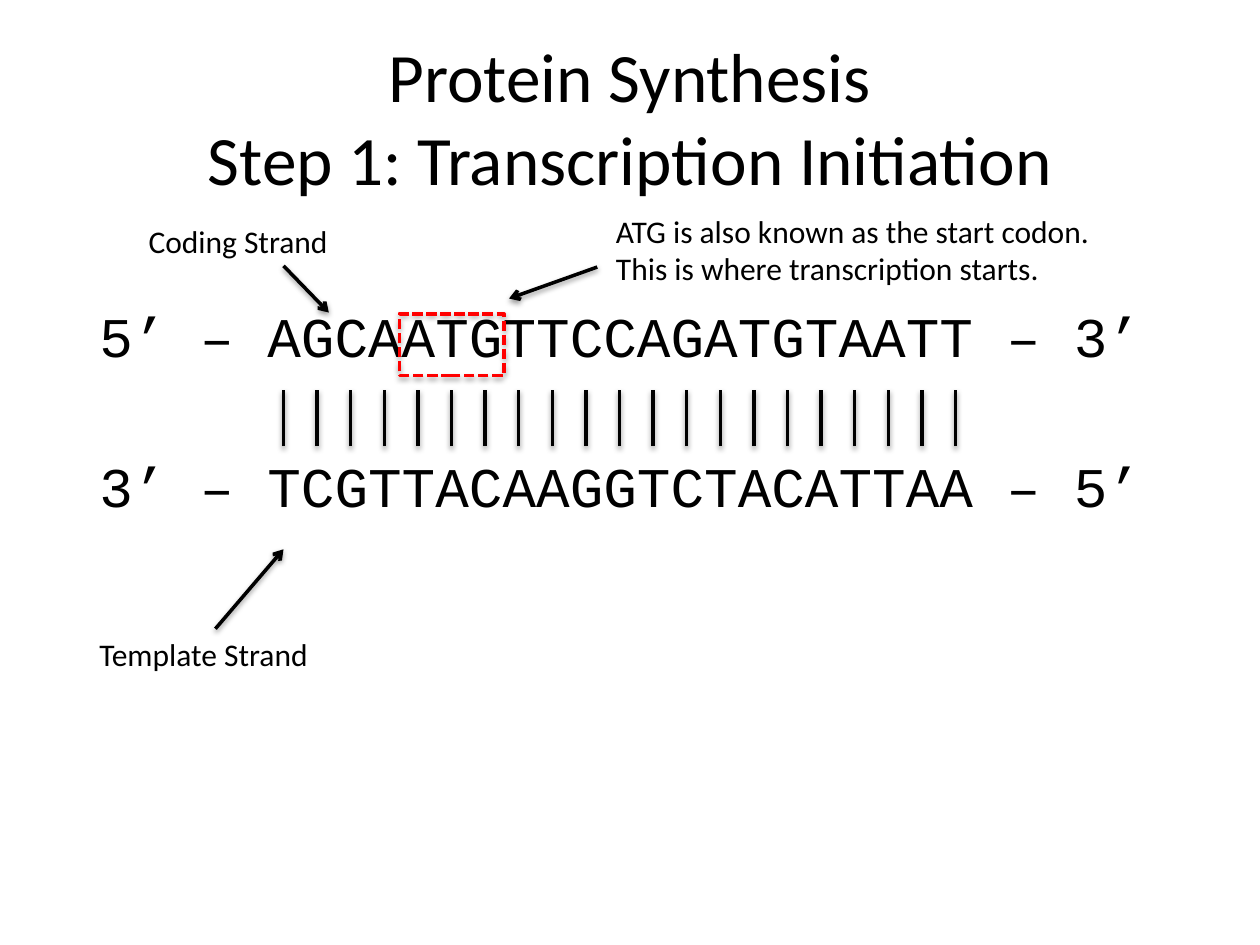
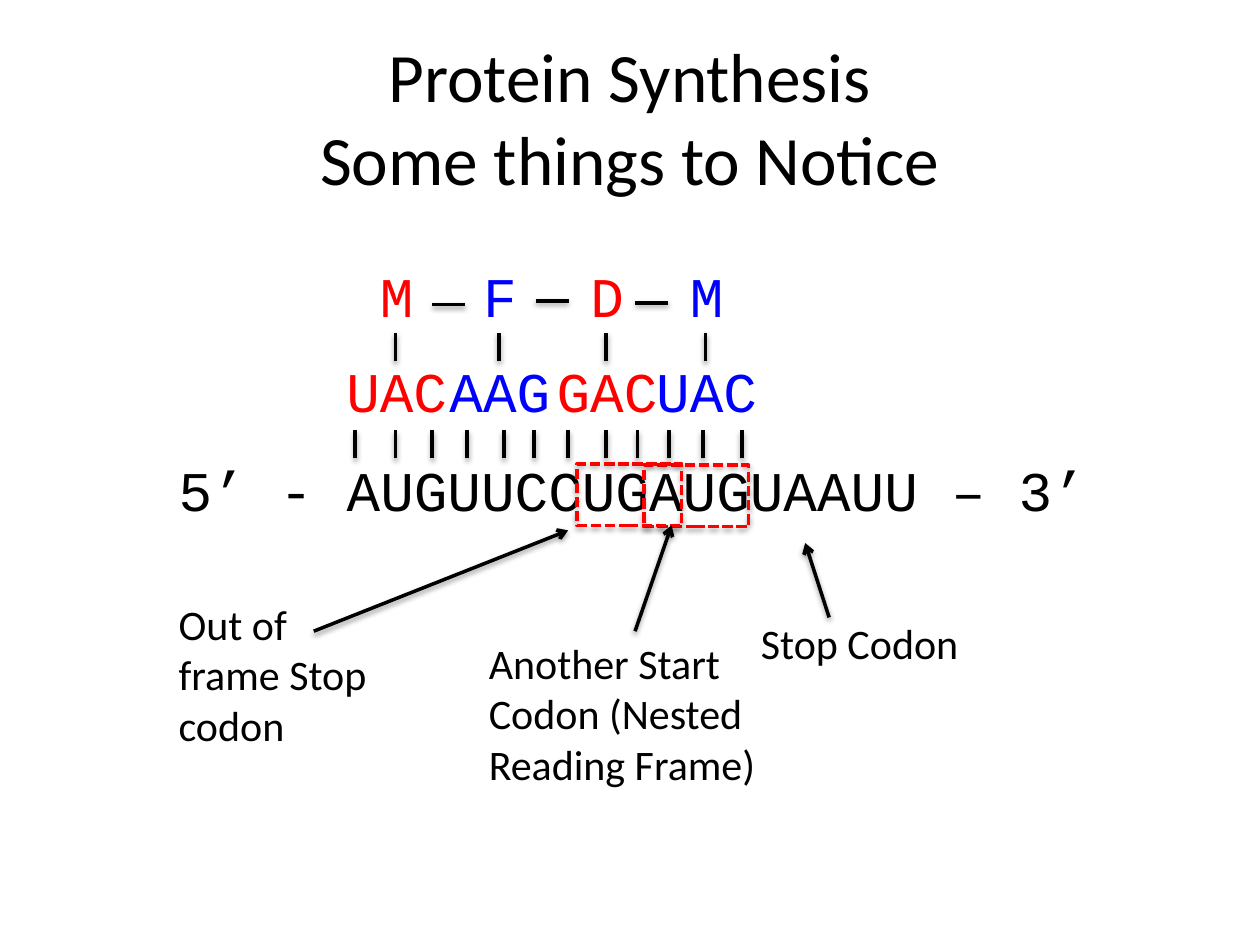
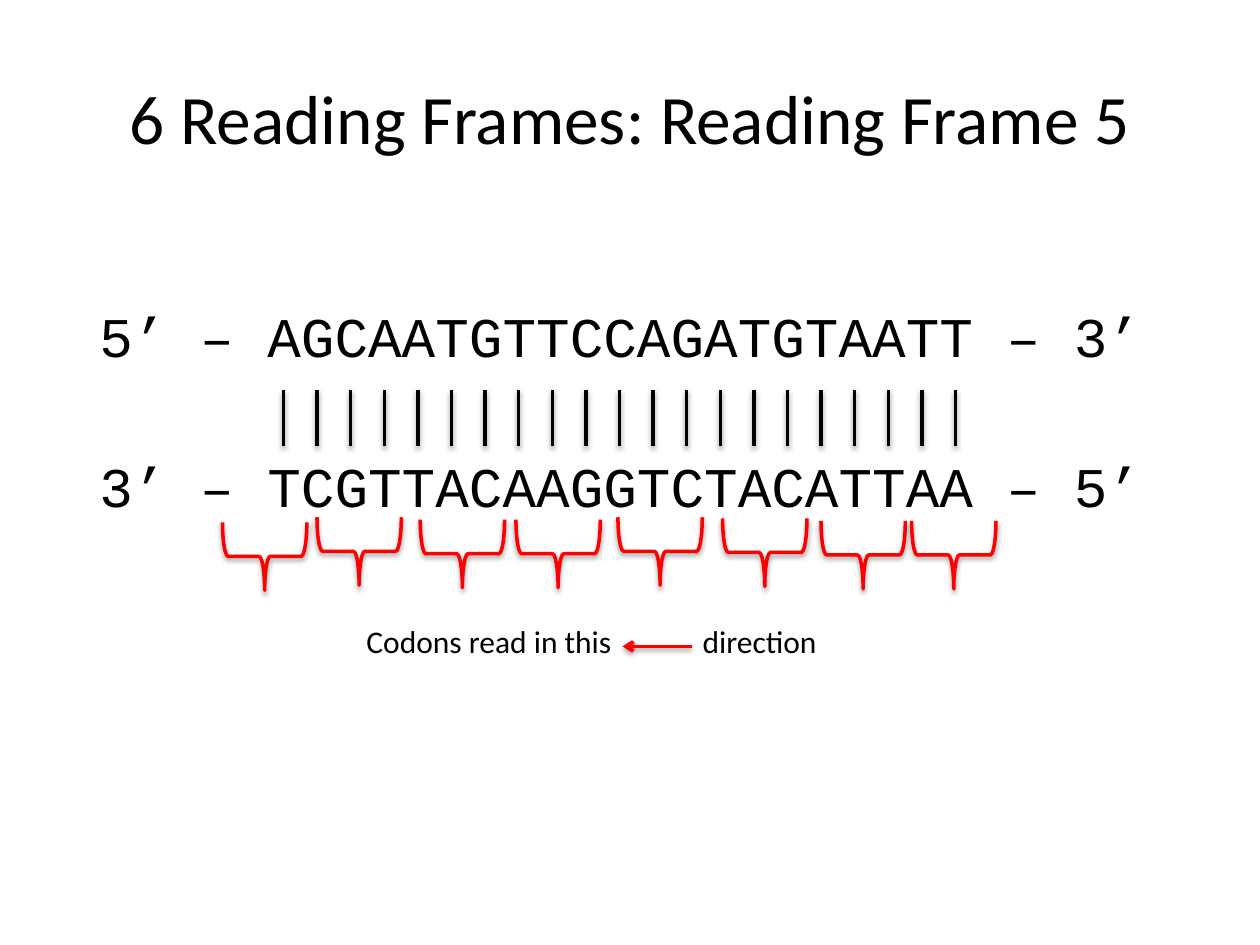
import pptx
import pptx.dml.color
import pptx.enum.dml
import pptx.enum.shapes
import pptx.enum.text
import pptx.oxml.ns
import pptx.util
from lxml import etree

Pt = pptx.util.Pt
RGBColor = pptx.dml.color.RGBColor
qn = pptx.oxml.ns.qn
MSO_SHAPE = pptx.enum.shapes.MSO_SHAPE

BLACK = RGBColor(0x00, 0x00, 0x00)
RED = RGBColor(0xFF, 0x00, 0x00)
BLUE = RGBColor(0x00, 0x00, 0xFF)
BODY_FONT, BASE_FONT = "Calibri", "Courier New"
BASE_SIZE = 32
BASE_PITCH = 19.2  # width of one Courier New letter at 32 pt
LINE_WIDTH = 2

# Content: text as (words, left, top, width, height), arrows as (x1, y1, x2, y2)
INITIATION_TITLE = ["Protein Synthesis", "Step 1: Transcription Initiation"]
NOTICE_TITLE = ["Protein Synthesis", "Some things to Notice"]
FRAME_TITLE = ["6 Reading Frames: Reading Frame 5"]

STRANDS = [
    ("5’ – AGCAATGTTCCAGATGTAATT – 3’", 49.7, 168.5, 634, 46),
    ("3’ – TCGTTACAAGGTCTACATTAA – 5’", 49.7, 254.2, 634, 46),
]
PAIR_COUNT = 21
FIRST_PAIR_X, PAIR_TOP, PAIR_BOTTOM = 162, 222.6, 255

START_CODON = (228.2, 179.3)
INITIATION_LABELS = [
    ("ATG is also known as the start codon. This is where transcription starts.",
     344.9, 117.4, 290, 51),
    ("Template Strand", 49.7, 359.3, 150, 29),
    ("Coding Strand", 77.8, 123.1, 200, 29),
]
INITIATION_ARROWS = [
    (341.3, 152.6, 290.9, 170.6),
    (123.1, 359.3, 162, 313.9),
    (162, 151.9, 187.9, 178.6),
]

MRNA = ("5’ - AUGUUCCUGAUGUAAUU – 3’", 95, 257, 564, 46)
# Each transfer RNA: anticodon, amino acid, colour, left, x of its base pairs
TRNAS = [
    ("UAC", "M", RED, 190.8, (203, 226, 247)),
    ("AAG", "F", BLUE, 249.8, (267, 288, 305.3)),
    ("GAC", "D", RED, 311, (324.7, 346.3, 364.3)),
    ("UAC", "M", BLUE, 367.9, (382.3, 401.8, 424)),
]
PEPTIDE_BONDS = [(247, 174), (306, 172), (363, 173)]
PEPTIDE_BOND_LENGTH = 19
NOTICE_CODONS = [(367.9, 265.7), (329.8, 265)]
NOTICE_LABELS = [
    ("Stop Codon", 427.7, 349.2, 148, 36),
    ("Another Start Codon (Nested Reading Frame)", 272.2, 360.7, 212, 94),
    ("Out of frame Stop codon", 95, 338.4, 135, 94),
]
NOTICE_ARROWS = [
    (473.8, 352.8, 460.1, 310.3),
    (362.9, 360.7, 383.8, 300.2),
    (179.3, 360.7, 324.7, 303.1),
]

BRACES = [(131.8, 293.8), (185.8, 290.9), (244.8, 292.3), (299.5, 292.3),
          (357.8, 290.9), (417.6, 291.6), (473.8, 293), (525.6, 293)]
DIRECTION_LABELS = [
    ("Codons read in this", 202.3, 352.1, 170, 29),
    ("direction", 394.4, 352.1, 180, 29),
]
DIRECTION_ARROW = (395.3, 369.4, 355.7, 369.4)


# Shared drawing
def add_text(slide, lines, box, size, font=BODY_FONT, color=BLACK):
    label = slide.shapes.add_textbox(*map(Pt, box))
    frame = label.text_frame
    frame.word_wrap = True
    paragraph = frame.paragraphs[0]
    for number, line in enumerate(lines):
        if number:
            paragraph.add_line_break()
        run = paragraph.add_run()
        run.text = line
        run.font.size = Pt(size)
        run.font.name = font
        run.font.color.rgb = color
    return frame


def add_labels(slide, labels, size):
    for words, *box in labels:
        add_text(slide, [words], box, size)


def add_bases(slide, bases, box, color=BLACK):
    add_text(slide, [bases], box, BASE_SIZE, BASE_FONT, color)


def add_shadow(shape, opacity=38, distance=1.6):
    effects = etree.SubElement(shape._element.spPr, qn("a:effectLst"))
    shadow = etree.SubElement(
        effects, qn("a:outerShdw"), blurRad=str(Pt(3.1)),
        dist=str(Pt(distance)), dir="5400000", rotWithShape="0")
    tint = etree.SubElement(shadow, qn("a:srgbClr"), val=str(BLACK))
    etree.SubElement(tint, qn("a:alpha"), val=str(opacity * 1000))


def add_line(slide, ends, color=BLACK, arrow=False):
    line = slide.shapes.add_connector(
        pptx.enum.shapes.MSO_CONNECTOR.STRAIGHT, *map(Pt, ends))
    line.line.color.rgb = color
    line.line.width = Pt(LINE_WIDTH)
    if arrow:
        etree.SubElement(line.line._get_or_add_ln(), qn("a:tailEnd"), type="arrow")
    add_shadow(line)


def add_arrows(slide, arrows, color=BLACK):
    for ends in arrows:
        add_line(slide, ends, color, arrow=True)


def add_outline(slide, kind, left, top, width, height):
    outline = slide.shapes.add_shape(kind, *map(Pt, (left, top, width, height)))
    outline.fill.background()
    outline.line.color.rgb = RED
    outline.line.width = Pt(LINE_WIDTH)
    return outline


def add_codon_frame(slide, left, top):
    frame = add_outline(slide, MSO_SHAPE.RECTANGLE, left, top, 59.8, 35.3)
    frame.line.dash_style = pptx.enum.dml.MSO_LINE.SQUARE_DOT
    add_shadow(frame, 35, 1.8)


def add_brace(slide, left, top):
    brace = add_outline(slide, MSO_SHAPE.LEFT_BRACE, left, top, 38.9, 48.2)
    brace.rotation = 270
    add_shadow(brace)


def add_titled_slide(deck, title):
    slide = deck.slides.add_slide(deck.slide_layouts[6])
    frame = add_text(slide, title, (36, 21.6, 648, 90), 39.6)
    frame.vertical_anchor = pptx.enum.text.MSO_ANCHOR.MIDDLE
    frame.paragraphs[0].alignment = pptx.enum.text.PP_ALIGN.CENTER
    return slide


def add_double_strand(slide):
    for bases, *box in STRANDS:
        add_bases(slide, bases, box)
    for number in range(PAIR_COUNT):
        x = FIRST_PAIR_X + number * BASE_PITCH
        add_line(slide, (x, PAIR_BOTTOM, x, PAIR_TOP))


# Slides
def build_initiation(deck):
    slide = add_titled_slide(deck, INITIATION_TITLE)
    add_double_strand(slide)
    add_codon_frame(slide, *START_CODON)
    add_labels(slide, INITIATION_LABELS, 18)
    add_arrows(slide, INITIATION_ARROWS)


def build_notice(deck):
    slide = add_titled_slide(deck, NOTICE_TITLE)
    bases, *box = MRNA
    add_bases(slide, bases, box)
    for anticodon, amino_acid, color, left, pairs in TRNAS:
        add_bases(slide, anticodon, (left, 200, 94, 46), color)
        add_bases(slide, amino_acid, (left + BASE_PITCH, 146, 37, 46), color)
        stem = left + 35.3
        add_line(slide, (stem, 206.4, stem, 190.2))
        for x in pairs:
            add_line(slide, (x, 262, x, 246))
    for x, y in PEPTIDE_BONDS:
        add_line(slide, (x, y, x + PEPTIDE_BOND_LENGTH, y))
    for corner in NOTICE_CODONS:
        add_codon_frame(slide, *corner)
    add_labels(slide, NOTICE_LABELS, 24)
    add_arrows(slide, NOTICE_ARROWS)


def build_reading_frame(deck):
    slide = add_titled_slide(deck, FRAME_TITLE)
    add_double_strand(slide)
    for corner in BRACES:
        add_brace(slide, *corner)
    add_labels(slide, DIRECTION_LABELS, 18)
    add_arrows(slide, [DIRECTION_ARROW], RED)


def main():
    deck = pptx.Presentation()
    deck.slide_width, deck.slide_height = Pt(720), Pt(540)
    build_initiation(deck)
    build_notice(deck)
    build_reading_frame(deck)
    deck.save("out.pptx")


if __name__ == "__main__":
    main()
